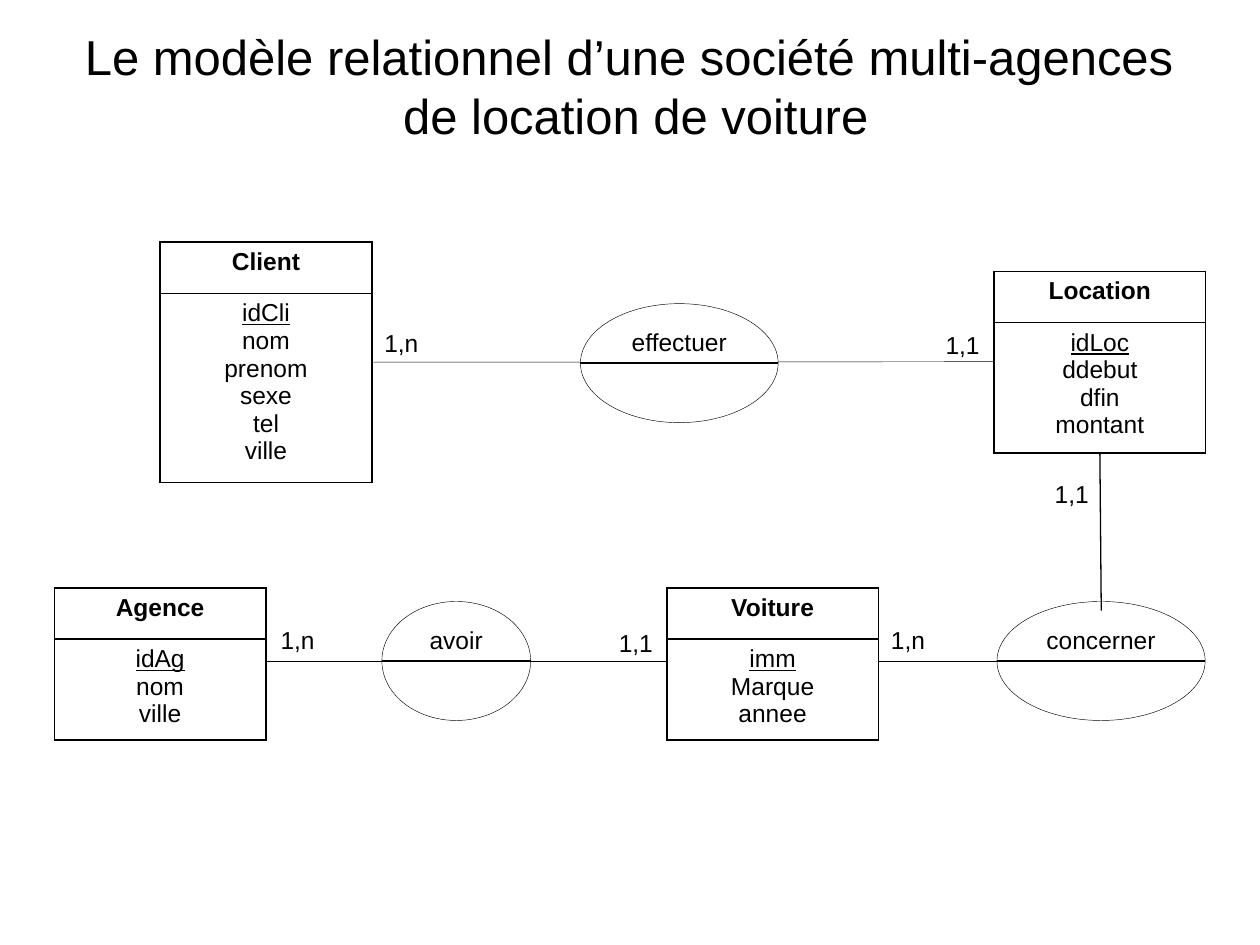
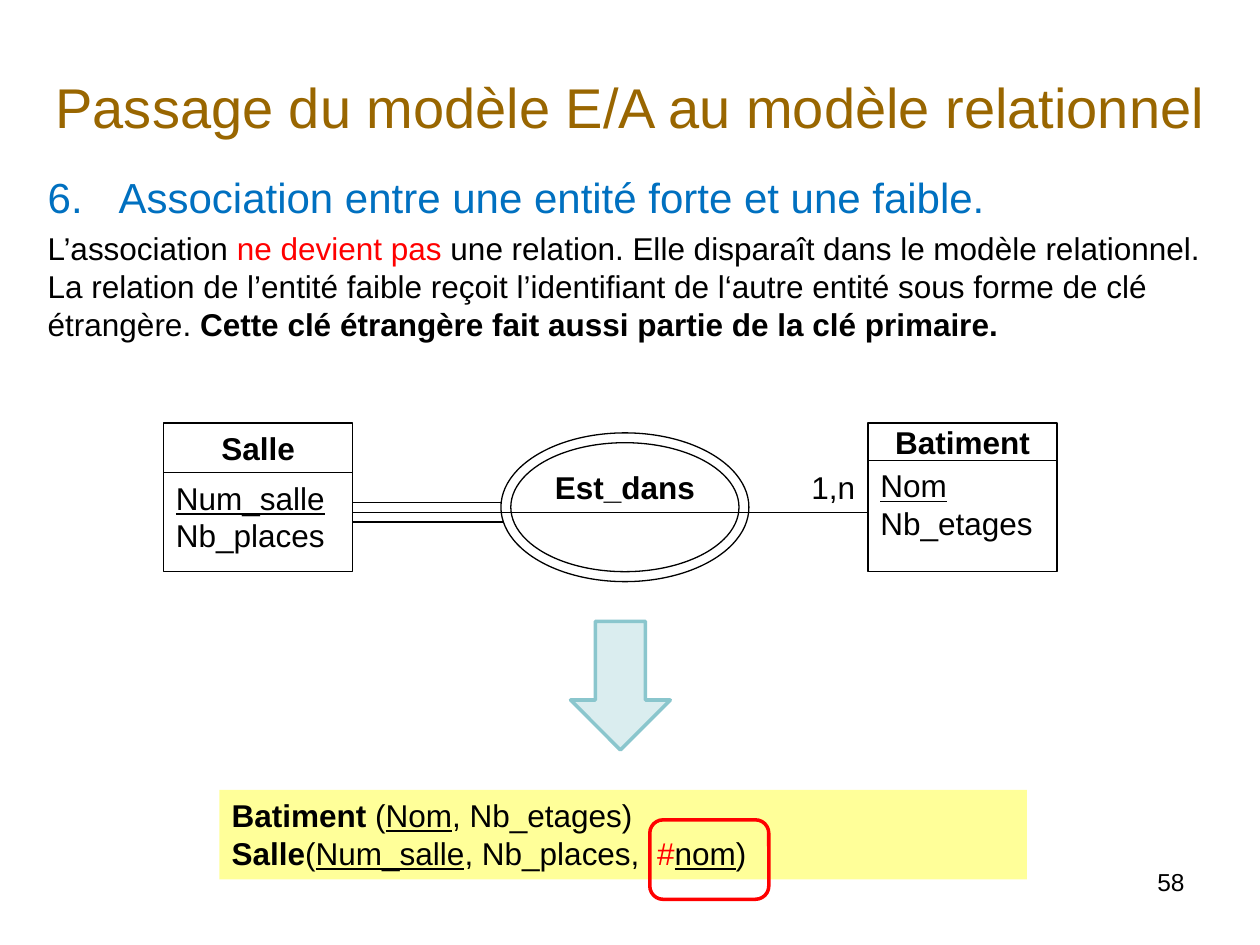
from lxml import etree
from pptx import Presentation
from pptx.dml.color import RGBColor
from pptx.enum.shapes import MSO_CONNECTOR, MSO_SHAPE
from pptx.enum.text import MSO_ANCHOR, PP_ALIGN
from pptx.oxml.ns import qn
from pptx.util import Pt

FONT = "Arial"
BLACK = RGBColor(0x00, 0x00, 0x00)
WHITE = RGBColor(0xFF, 0xFF, 0xFF)
BROWN = RGBColor(0x99, 0x66, 0x00)
BLUE = RGBColor(0x00, 0x70, 0xC0)
RED = RGBColor(0xFF, 0x00, 0x00)
YELLOW = RGBColor(0xFF, 0xFF, 0x99)
PALE_TEAL = RGBColor(0xDA, 0xED, 0xEF)
TEAL = RGBColor(0x8A, 0xC6, 0xCD)

LEFT, CENTER, RIGHT = PP_ALIGN.LEFT, PP_ALIGN.CENTER, PP_ALIGN.RIGHT
TOP, MIDDLE = MSO_ANCHOR.TOP, MSO_ANCHOR.MIDDLE
SMALL, MEDIUM = 14, 18
THIN, NORMAL, THICK = 0.25, 0.75, 2
ENTITY_WIDTH, HEADER_HEIGHT, ATTRIBUTE_HEIGHT = 121, 29.3, 15.7


# --- Shared text and drawing helpers ---

def add_run(paragraph, text, size, color=BLACK, bold=False, underline=False):
    run = paragraph.add_run()
    run.text = text
    font = run.font
    font.name, font.size, font.color.rgb = FONT, Pt(size), color
    font.bold, font.underline = bold, underline


def write(frame, paragraphs, size, align=LEFT, anchor=TOP, wrap=True):
    """Each paragraph is a list of (text, style) runs."""
    frame.word_wrap = wrap
    frame.vertical_anchor = anchor
    for index, runs in enumerate(paragraphs):
        paragraph = frame.paragraphs[0] if index == 0 else frame.add_paragraph()
        paragraph.alignment = align
        for text, style in runs:
            add_run(paragraph, text, **{"size": size, **style})


def key_first(attributes):
    """One paragraph per attribute, with the key underlined."""
    return [[(name, {"underline": index == 0})]
            for index, name in enumerate(attributes)]


def add_text(slide, box, paragraphs, size, **layout):
    frame = slide.shapes.add_textbox(*map(Pt, box)).text_frame
    write(frame, paragraphs, size, **layout)
    return frame


def add_figure(slide, preset, box, fill=None, line=None, width=NORMAL):
    figure = slide.shapes.add_shape(preset, *map(Pt, box))
    figure.shadow.inherit = False
    if fill is None:
        figure.fill.background()
    else:
        figure.fill.solid()
        figure.fill.fore_color.rgb = fill
    if line is None:
        figure.line.fill.background()
    else:
        figure.line.color.rgb = line
        figure.line.width = Pt(width)
    return figure


def add_link(slide, start, end, width=NORMAL):
    link = slide.shapes.add_connector(
        MSO_CONNECTOR.STRAIGHT, *map(Pt, start + end))
    link.line.color.rgb = BLACK
    link.line.width = Pt(width)
    etree.SubElement(link._element.spPr, qn("a:effectLst"))
    return link


def add_title(slide, box, lines, size, color):
    frame = add_text(slide, box, [[]], size, align=CENTER, anchor=MIDDLE)
    paragraph = frame.paragraphs[0]
    for index, line in enumerate(lines):
        if index:
            paragraph.add_line_break()
        add_run(paragraph, line, size, color)


def add_cardinality(slide, box, text, size=SMALL, align=LEFT):
    add_text(slide, box, [[(text, {})]], size, align=align)


# --- Rental agency model ---

def border_cell(cell):
    properties = cell._tc.get_or_add_tcPr()
    for side in ("lnL", "lnR", "lnT", "lnB"):
        border = etree.SubElement(properties, qn(f"a:{side}"), w=str(Pt(1)))
        fill = etree.SubElement(border, qn("a:solidFill"))
        etree.SubElement(fill, qn("a:srgbClr"), val=str(BLACK))
    cell.fill.background()


def add_entity_table(slide, left, top, name, attributes):
    heights = (HEADER_HEIGHT, ATTRIBUTE_HEIGHT * len(attributes) + 7.2)
    table = slide.shapes.add_table(
        2, 1, Pt(left), Pt(top), Pt(ENTITY_WIDTH), Pt(sum(heights))).table
    table.first_row = table.horz_banding = False
    contents = ([[(name, {"bold": True})]], key_first(attributes))
    for row, (height, paragraphs) in enumerate(zip(heights, contents)):
        table.rows[row].height = Pt(height)
        cell = table.cell(row, 0)
        border_cell(cell)
        write(cell.text_frame, paragraphs, SMALL, align=CENTER)


def add_association(slide, left, top, width, name):
    height = 68
    oval = add_figure(slide, MSO_SHAPE.OVAL, (left, top, width, height),
                      WHITE, BLACK, THIN)
    write(oval.text_frame, [[(name, {})]], SMALL, align=CENTER, wrap=False)
    middle = top + height / 2
    add_link(slide, (left, middle), (left + width, middle))


def build_rental_model(slide):
    add_title(slide, (14.4, 9.4, 697.7, 79.2),
              ["Le modèle relationnel d’une société multi-agences ",
               "de location de voiture"], 28, BLACK)

    # Entities
    lower_top = 336
    for left, top, name, attributes in (
            (91.5, 138.4, "Client",
             ["idCli", "nom", "prenom", "sexe", "tel", "ville"]),
            (381, lower_top, "Voiture", ["imm", "Marque", "annee"]),
            (568, 155, "Location", ["idLoc", "ddebut", "dfin", "montant"]),
            (31, lower_top, "Agence", ["idAg", "nom", "ville"])):
        add_entity_table(slide, left, top, name, attributes)

    # Associations and their links
    lower_axis = 377.7
    add_association(slide, 569.7, 343.7, 119, "concerner")
    add_association(slide, 218.2, 343.7, 85, "avoir")
    add_link(slide, (212.5, 207), (568, 206.7), THIN)
    add_association(slide, 331.7, 173.5, 113, "effectuer")
    add_link(slide, (629.3, 349), (628.5, 258.7))
    add_link(slide, (569.7, lower_axis), (502, lower_axis), THIN)
    add_link(slide, (152, lower_axis), (381, lower_axis), THIN)

    # Cardinalities
    for left, top, text, align in (
            (212.5, 183.7, "1,n", LEFT), (524.4, 185.3, "1,1", RIGHT),
            (502, 353.8, "1,n", LEFT), (153.2, 353.8, "1,n", LEFT),
            (337.7, 355.3, "1,1", RIGHT), (586.8, 270.2, "1,1", RIGHT)):
        add_cardinality(slide, (left, top, 42.5, 24.2), text, align=align)


# --- Weak entity rule ---

def add_rule_text(slide, box):
    frame = add_text(slide, box, [
        [("Association entre une entité forte et une faible.",
          {"size": 24, "color": BLUE})],
        [("L’association ", {}),
         ("ne devient pas ", {"color": RED}),
         ("une relation. Elle disparaît dans le modèle relationnel. "
          "La relation de l’entité faible reçoit l’identifiant de l‘autre "
          "entité sous forme de clé étrangère. ", {}),
         ("Cette clé étrangère fait aussi partie de la clé primaire.",
          {"bold": True})]], MEDIUM)
    heading, explanation = frame.paragraphs
    explanation.space_before = Pt(4.5)
    properties = heading._p.get_or_add_pPr()
    properties.set("marL", str(Pt(40.5)))
    properties.set("indent", str(-Pt(40.5)))
    etree.SubElement(properties, qn("a:buAutoNum"),
                     type="arabicPeriod", startAt="6")


def add_entity_box(slide, box, header_height, name, attributes):
    left, top, width, height = box
    header = add_figure(slide, MSO_SHAPE.RECTANGLE,
                        (left, top, width, header_height), line=BLACK)
    write(header.text_frame, [[(name, {"bold": True})]], MEDIUM,
          align=CENTER, anchor=MIDDLE, wrap=False)
    body = add_figure(
        slide, MSO_SHAPE.RECTANGLE,
        (left, top + header_height, width, height - header_height), line=BLACK)
    write(body.text_frame, key_first(attributes), MEDIUM)
    return body


def add_relations(slide, box):
    band = add_figure(slide, MSO_SHAPE.RECTANGLE, box, YELLOW)
    bold, key = {"bold": True}, {"underline": True}
    write(band.text_frame, [
        [("Batiment ", bold), ("(", {}), ("Nom", key), (", Nb_etages)", {})],
        [("Salle", bold), ("(", {}), ("Num_salle", key),
         (", Nb_places,  ", {}), ("#", {"color": RED}), ("nom", key),
         (")", {})]], MEDIUM)


def build_weak_entity_rule(slide):
    add_text(slide, (516.2, 491.8, 167.8, 37.4), [[("58", {})]], SMALL,
             align=RIGHT)
    add_title(slide, (14.4, 21.6, 692, 78.5),
              ["Passage du modèle E/A au modèle relationnel"], 32, BROWN)
    add_rule_text(slide, (20.2, 94.3, 686.2, 221))

    # Resulting relations with the foreign key framed
    add_relations(slide, (125.3, 451.4, 461.5, 51.1))
    add_figure(slide, MSO_SHAPE.DOWN_ARROW, (326, 355, 57, 73.5),
               PALE_TEAL, TEAL, THICK)
    add_figure(slide, MSO_SHAPE.ROUNDED_RECTANGLE, (371.3, 468.5, 68, 45.4),
               line=RED, width=THICK)

    # Entities
    salle = add_entity_box(slide, (93.5, 241.7, 108, 85), 28.3, "Salle",
                           ["Num_salle", "Nb_places"])
    add_entity_box(slide, (496, 241.7, 108, 85), 21.3, "Batiment",
                   ["Nom", "Nb_etages"])

    # Double oval of the weak association
    inner_oval = (291.9, 253, 130.4, 73.7)
    add_cardinality(slide, (456.5, 264.2, 39.6, 28.8), "1,n", MEDIUM)
    inner = add_figure(slide, MSO_SHAPE.OVAL, inner_oval, line=BLACK)
    write(inner.text_frame, [[("Est_dans", {"bold": True})]], MEDIUM,
          align=CENTER, wrap=False)
    left, top, width, height = inner_oval
    gap = 5.65
    add_figure(slide, MSO_SHAPE.OVAL,
               (left - gap, top - gap, width + 2 * gap, height + 2 * gap),
               line=BLACK)

    # Axis and double link on the weak side
    add_link(slide, (201.5, 292.7), (496, 292.7))
    add_link(slide, (201.5, 287), (286.3, 287))
    lower_link = add_link(slide, (201.5, 298.35), (287.7, 298.35))
    lower_link.begin_connect(salle, 3)


def main():
    deck = Presentation()
    deck.slide_width, deck.slide_height = Pt(720), Pt(540)
    for build in (build_rental_model, build_weak_entity_rule):
        build(deck.slides.add_slide(deck.slide_layouts[6]))
    deck.save("out.pptx")


if __name__ == "__main__":
    main()
